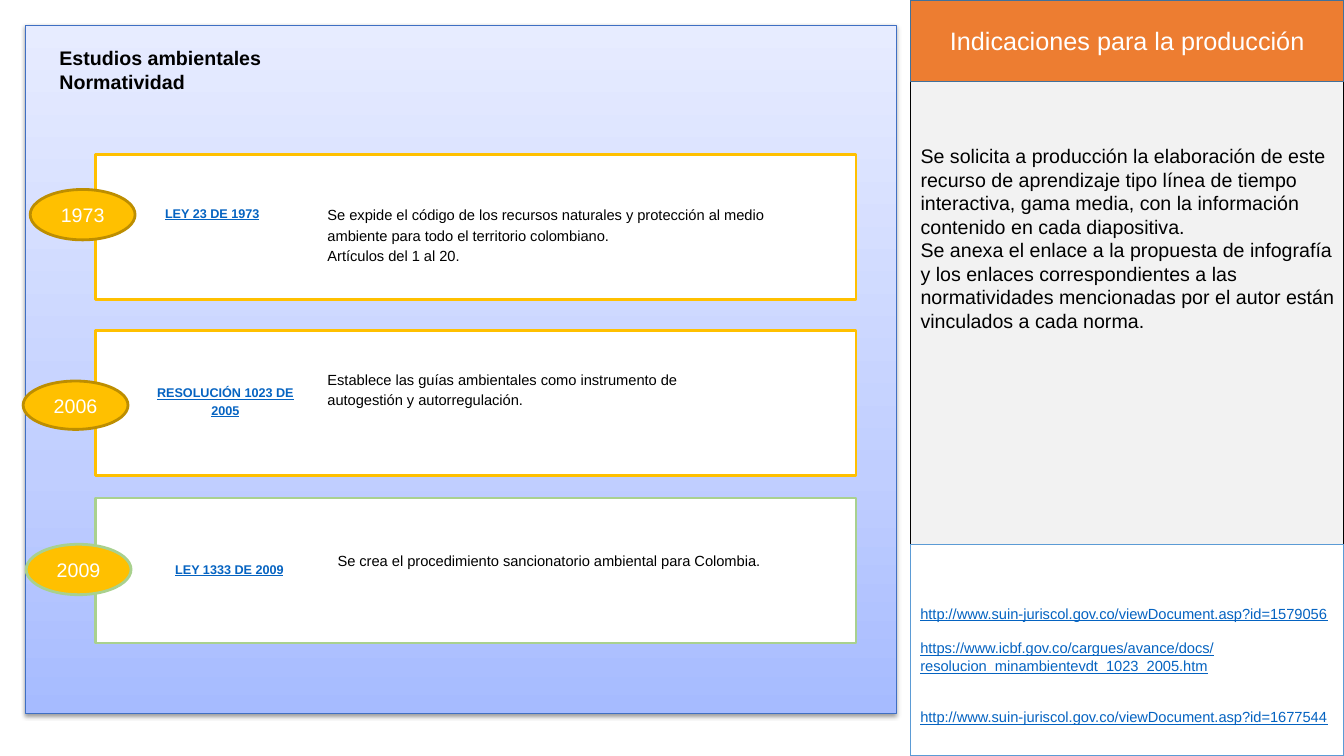
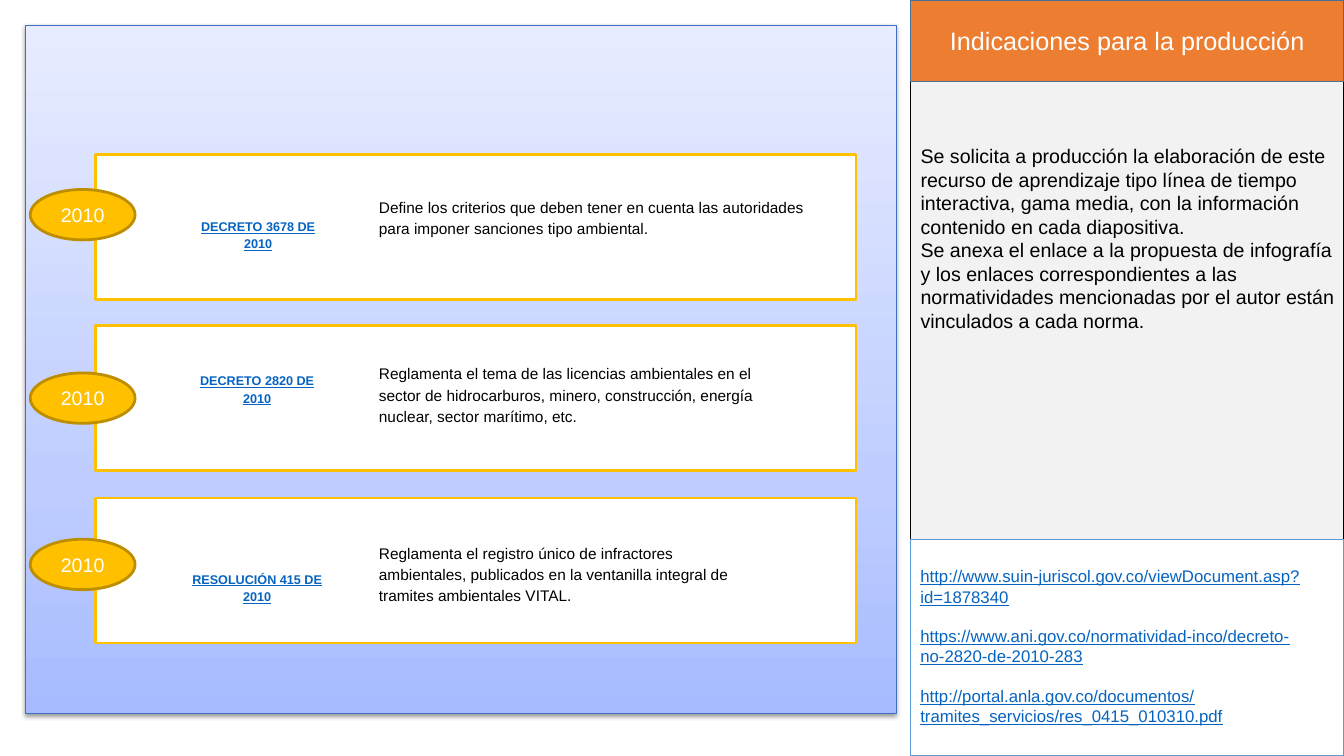
import copy

import lxml.etree
import pptx
import pptx.dml.color
import pptx.enum.shapes
import pptx.enum.text
import pptx.oxml.ns
import pptx.util

# Content: each entry's boxes are (left, top, width, height) from its card's corner
BANNER = "Indicaciones para la producción"
INSTRUCTIONS = [
    "Se solicita a producción la elaboración de este recurso de aprendizaje tipo línea de "
    "tiempo interactiva, gama media, con la información contenido en cada diapositiva.",
    "Se anexa el enlace a la propuesta de infografía y los enlaces correspondientes a las "
    "normatividades mencionadas por el autor están vinculados a cada norma.",
]
AMBER, DARK_AMBER, GREEN = "FFC000", "BD8E00", "A9D18E"
SLIDES = [
    {
        "heading": ["Estudios ambientales", "Normatividad"],
        "links": [
            "http://www.suin-juriscol.gov.co/viewDocument.asp?id=1579056",
            "https://www.icbf.gov.co/cargues/avance/docs/resolucion_minambientevdt_1023_2005.htm",
            "http://www.suin-juriscol.gov.co/viewDocument.asp?id=1677544",
        ],
        "link_size": 10.5, "link_gaps": [0, 1, 2], "links_top": 5.4,
        "text_size": 10.5, "card_tops": [1.53, 3.28, 4.94],
        "entries": [
            {"year": "1973", "oval": (-0.65, 0.35, 1.04, 0.5),
             "law": "LEY 23 DE 1973", "law_box": (0.45, 0.44, 1.41, 0.32),
             "text": ["Se expide el código de los recursos naturales y protección al medio "
                      "ambiente para todo el territorio colombiano.",
                      "Artículos del 1 al 20."],
             "text_box": (2.2, 0.44, 5, 0.92)},
            {"year": "2006", "oval": (-0.72, 0.5, 1.04, 0.48),
             "law": "RESOLUCIÓN 1023 DE 2005", "law_box": (0.45, 0.47, 1.67, 0.6),
             "text": ["Establece las guías ambientales como instrumento de autogestión y "
                      "autorregulación."],
             "text_box": (2.2, 0.32, 3.94, 0.9)},
            {"year": "2009", "oval": (-0.69, 0.46, 1.04, 0.5),
             "law": "LEY 1333 DE 2009", "law_box": (0.62, 0.56, 1.41, 0.32),
             "text": ["Se crea el procedimiento sancionatorio ambiental para Colombia."],
             "text_box": (2.3, 0.46, 4.67, 0.9), "lines": (GREEN, GREEN)},
        ],
    },
    {
        "heading": [],
        "links": [
            "http://www.suin-juriscol.gov.co/viewDocument.asp?id=1878340",
            "https://www.ani.gov.co/normatividad-inco/decreto-no-2820-de-2010-283",
            "http://portal.anla.gov.co/documentos/tramites_servicios/res_0415_010310.pdf",
        ],
        "link_size": 12, "link_gaps": [0, 1, 1], "links_top": 5.35,
        "text_size": 11, "card_tops": [1.53, 3.23, 4.94],
        "entries": [
            {"year": "2010", "oval": (-0.65, 0.35, 1.04, 0.5),
             "law": "DECRETO 3678 DE 2010", "law_box": (0.83, 0.57, 1.56, 0.28),
             "text": ["Define los criterios que deben tener en cuenta las autoridades para "
                      "imponer sanciones tipo ambiental."],
             "text_box": (2.71, 0.36, 4.56, 0.7)},
            {"year": "2010", "oval": (-0.65, 0.47, 1.04, 0.5),
             "law": "DECRETO 2820 DE 2010", "law_box": (0.82, 0.4, 1.56, 0.28),
             "text": ["Reglamenta el tema de las licencias ambientales en el sector de "
                      "hidrocarburos, minero, construcción, energía nuclear, sector "
                      "marítimo, etc."],
             "text_box": (2.71, 0.31, 4.34, 0.69)},
            {"year": "2010", "oval": (-0.65, 0.41, 1.04, 0.5),
             "law": "RESOLUCIÓN 415 DE 2010", "law_box": (0.82, 0.66, 1.56, 0.28),
             "text": ["Reglamenta el registro único de infractores ambientales, publicados "
                      "en la ventanilla integral de tramites ambientales VITAL."],
             "text_box": (2.71, 0.38, 4.03, 0.69)},
        ],
    },
]

# Shared layout and style
WIDTH, HEIGHT = 13.33, 7.5
SIDE_LEFT = 9.03
SIDE_WIDTH = WIDTH - SIDE_LEFT
BANNER_HEIGHT = 0.81
CARD_LEFT, CARD_WIDTH, CARD_HEIGHT = 0.95, 7.54, 1.44
BOARD = (0.25, 0.25, 8.64, 6.83)
BOARD_GRADIENT = [(0, "A6BBFF"), (0.35, "C0CEFF"), (1, "E7ECFF")]
FONT, BLACK, WHITE, LINK_BLUE = "Arial", "000000", "FFFFFF", "0563C1"
LINE_HEIGHT = 1.15

ALIGN = pptx.enum.text.PP_ALIGN
ANCHOR = pptx.enum.text.MSO_ANCHOR
PRESET = pptx.enum.shapes.MSO_SHAPE


def rgb(color):
    """Turn a hex string into a colour."""
    return pptx.dml.color.RGBColor.from_string(color)


def place(shape, box):
    """Move and size a shape to a box in inches."""
    shape.left, shape.top, shape.width, shape.height = map(pptx.util.Inches, box)


def paint(shape, fill, line, line_width):
    """Give a shape a solid fill and an outline."""
    shape.fill.solid()
    shape.fill.fore_color.rgb = rgb(fill)
    shape.line.color.rgb = rgb(line)
    shape.line.width = pptx.util.Pt(line_width)


def add_box(slide, box, fill, line, line_width=1, preset=PRESET.RECTANGLE):
    """Add a filled preset shape without a shadow."""
    shape = slide.shapes.add_shape(preset, *map(pptx.util.Inches, box))
    shape.shadow.inherit = False
    paint(shape, fill, line, line_width)
    return shape


def write(shape, lines, size, color=BLACK, bold=False, underline=False, align=ALIGN.LEFT,
          anchor=ANCHOR.TOP, spacing=1, gaps=(), wrap=True):
    """Write one paragraph per line; gaps are line heights left before each."""
    frame = shape.text_frame
    frame.word_wrap = wrap
    frame.auto_size = pptx.enum.text.MSO_AUTO_SIZE.NONE
    frame.vertical_anchor = anchor
    for index, line in enumerate(lines):
        paragraph = frame.add_paragraph() if index else frame.paragraphs[0]
        paragraph.alignment = align
        paragraph.line_spacing = spacing
        gap = gaps[index] if gaps else 0
        paragraph.space_before = pptx.util.Pt(gap * size * LINE_HEIGHT)
        run = paragraph.add_run()
        run.text = line
        font = run.font
        font.name, font.size = FONT, pptx.util.Pt(size)
        font.bold, font.underline = bold, underline
        font.color.rgb = rgb(color)


def add_text(slide, box, lines, size, **style):
    """Add a text box with formatted lines."""
    shape = slide.shapes.add_textbox(*map(pptx.util.Inches, box))
    write(shape, lines, size, **style)


def remove_bullets(shape):
    """Drop the bullets and indents of a body placeholder."""
    for paragraph in shape.text_frame.paragraphs:
        properties = paragraph._p.get_or_add_pPr()
        properties.set("marL", "0")
        properties.set("indent", "0")
        lxml.etree.SubElement(properties, pptx.oxml.ns.qn("a:buNone"))


def bring_to_front(shape):
    """Move a shape to the top of the drawing order."""
    shape.element.getparent().append(shape.element)


def add_board(slide):
    """Add the blue gradient board with its soft shadow."""
    board = add_box(slide, BOARD, WHITE, "3F6FC3", 0.75)
    board.fill.gradient()
    board.fill.gradient_angle = 90
    first_stop = board.element.spPr.find(".//" + pptx.oxml.ns.qn("a:gs"))
    first_stop.addnext(copy.deepcopy(first_stop))
    for stop, (position, color) in zip(board.fill.gradient_stops, BOARD_GRADIENT):
        stop.position = position
        stop.color.rgb = rgb(color)
    effects = board.element.spPr.find(pptx.oxml.ns.qn("a:effectLst"))
    shadow = lxml.etree.SubElement(
        effects, pptx.oxml.ns.qn("a:outerShdw"), blurRad=str(pptx.util.Pt(3.1)),
        dist=str(pptx.util.Pt(1.6)), dir="5400000", rotWithShape="0")
    black = lxml.etree.SubElement(shadow, pptx.oxml.ns.qn("a:srgbClr"), val=BLACK)
    lxml.etree.SubElement(black, pptx.oxml.ns.qn("a:alpha"), val="38000")


def add_side_panel(slide, content):
    """Add the production notes: banner, instructions and links."""
    add_box(slide, (SIDE_LEFT, 0, SIDE_WIDTH, HEIGHT), "F2F2F2", BLACK)

    instructions = slide.placeholders[1]
    place(instructions, (SIDE_LEFT, 1.38, SIDE_WIDTH + 0.03, 3.3))
    write(instructions, INSTRUCTIONS, 14)
    remove_bullets(instructions)
    bring_to_front(instructions)

    banner = slide.shapes.title
    place(banner, (SIDE_LEFT, 0, SIDE_WIDTH, BANNER_HEIGHT))
    paint(banner, "ED7D31", "42719B", 1)
    write(banner, [BANNER], 18, color=WHITE, align=ALIGN.CENTER, anchor=ANCHOR.MIDDLE)
    bring_to_front(banner)

    top = content["links_top"]
    links = add_box(slide, (SIDE_LEFT, top, SIDE_WIDTH, HEIGHT - top), WHITE, "5B9BD5")
    links.text_frame.margin_bottom = pptx.util.Inches(0.3)
    write(links, content["links"], content["link_size"], color=LINK_BLUE, underline=True,
          anchor=ANCHOR.BOTTOM, gaps=content["link_gaps"])


def add_entry(slide, entry, top, text_size):
    """Add one timeline card with its year, law and summary."""
    def on_card(box):
        """Shift a box from the card's corner to the slide."""
        left, down, width, height = box
        return CARD_LEFT + left, top + down, width, height

    card_line, oval_line = entry.get("lines", (AMBER, DARK_AMBER))
    add_box(slide, on_card((0, 0, CARD_WIDTH, CARD_HEIGHT)), WHITE, card_line, 2)
    add_text(slide, on_card(entry["law_box"]), [entry["law"]], 9, color=LINK_BLUE, bold=True,
             underline=True, align=ALIGN.CENTER, spacing=1.15)
    add_text(slide, on_card(entry["text_box"]), entry["text"], text_size, spacing=1.15)
    oval = add_box(slide, on_card(entry["oval"]), AMBER, oval_line, 2, PRESET.OVAL)
    write(oval, [entry["year"]], 14, color=WHITE, align=ALIGN.CENTER, anchor=ANCHOR.MIDDLE)


def build():
    """Build and save the presentation."""
    presentation = pptx.Presentation()
    presentation.slide_width = pptx.util.Inches(WIDTH)
    presentation.slide_height = pptx.util.Inches(HEIGHT)
    for content in SLIDES:
        slide = presentation.slides.add_slide(presentation.slide_layouts[1])
        add_board(slide)
        add_side_panel(slide, content)
        if content["heading"]:
            add_text(slide, (0.49, 0.41, 2.21, 0.57), content["heading"], 14, bold=True,
                     wrap=False)
        for entry, top in zip(content["entries"], content["card_tops"]):
            add_entry(slide, entry, top, content["text_size"])
    presentation.save("out.pptx")


build()
